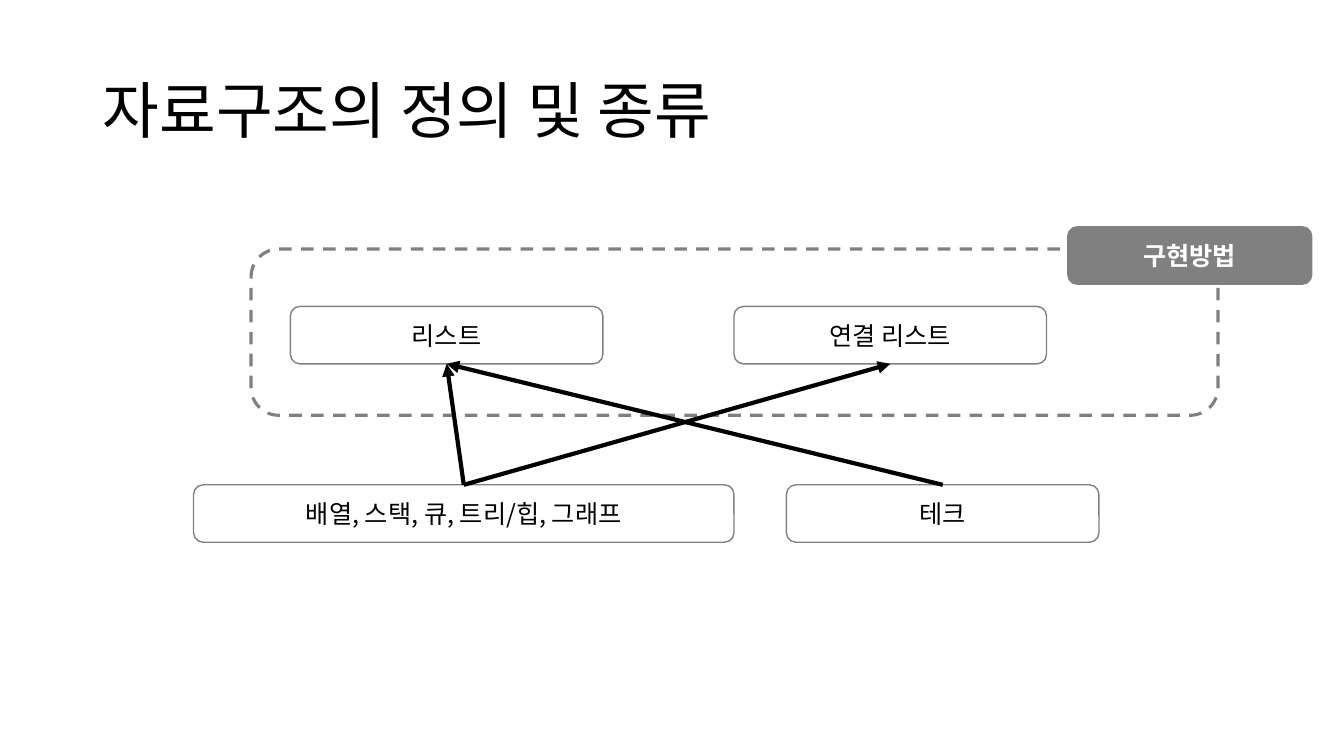
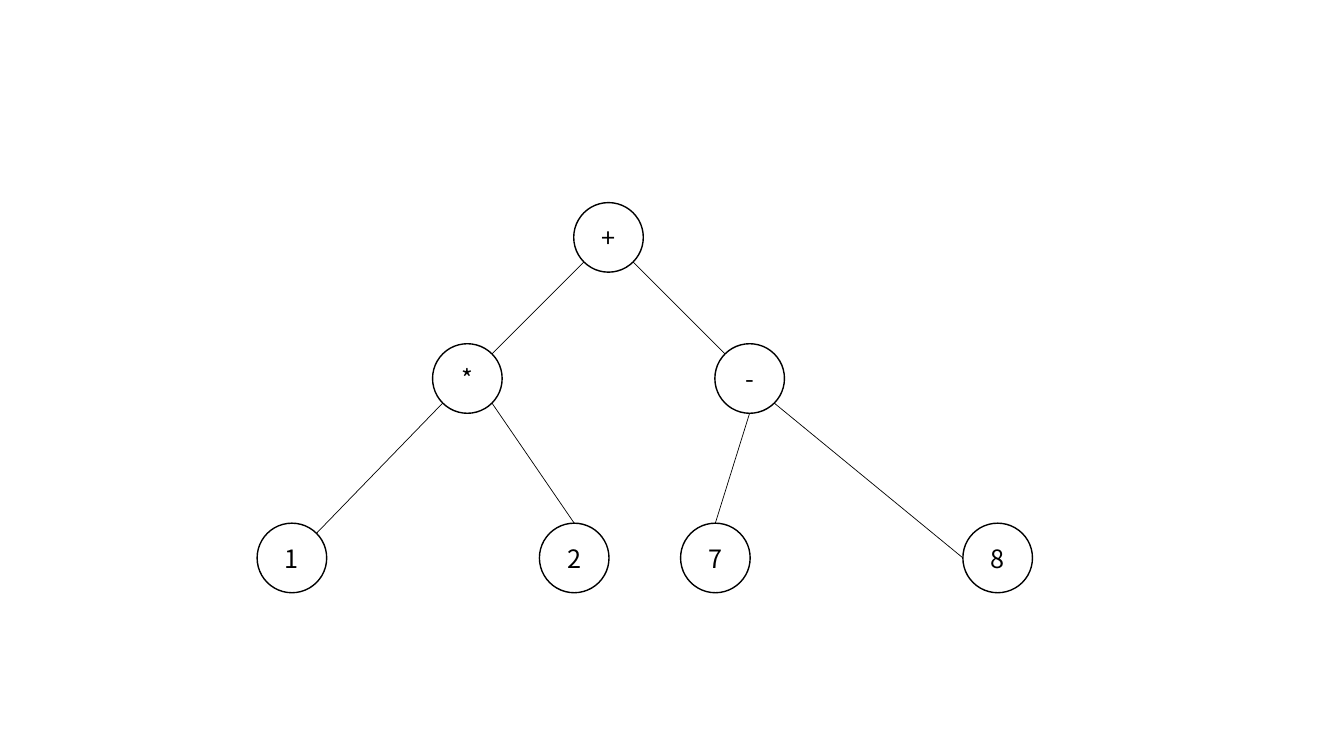
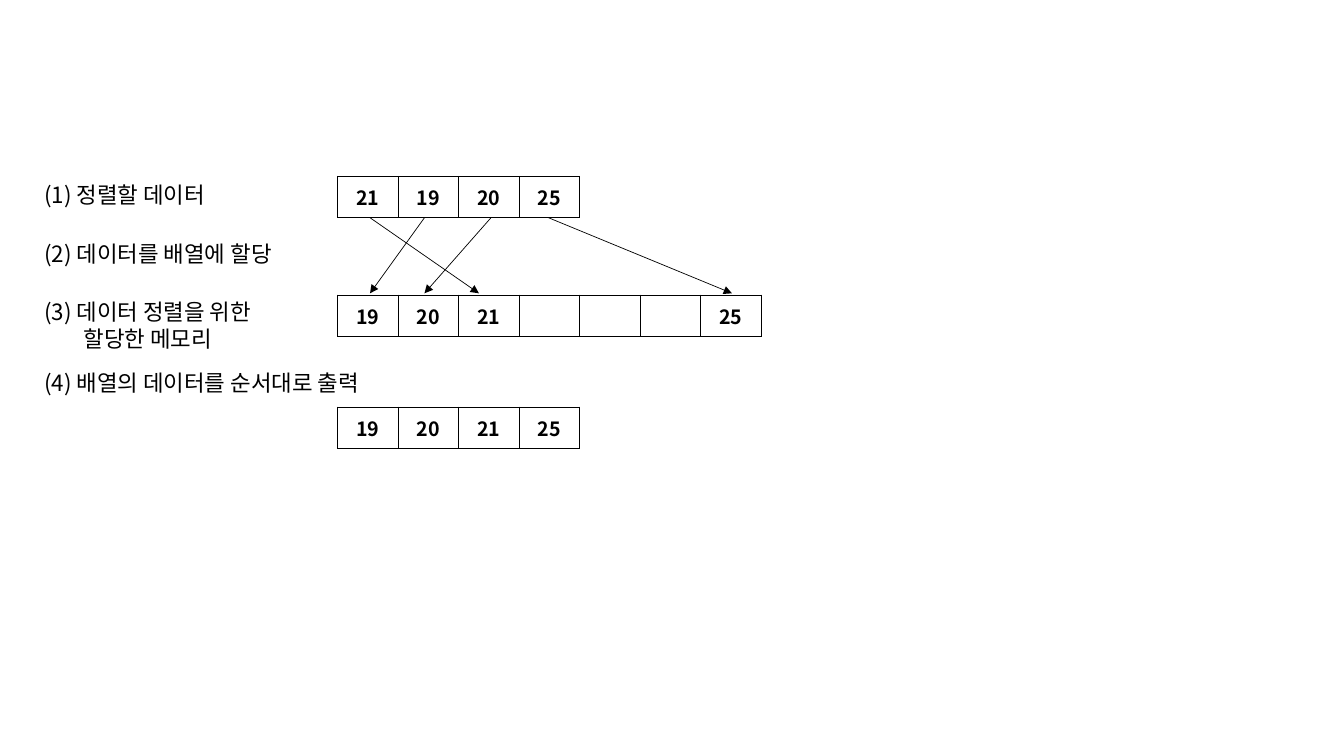
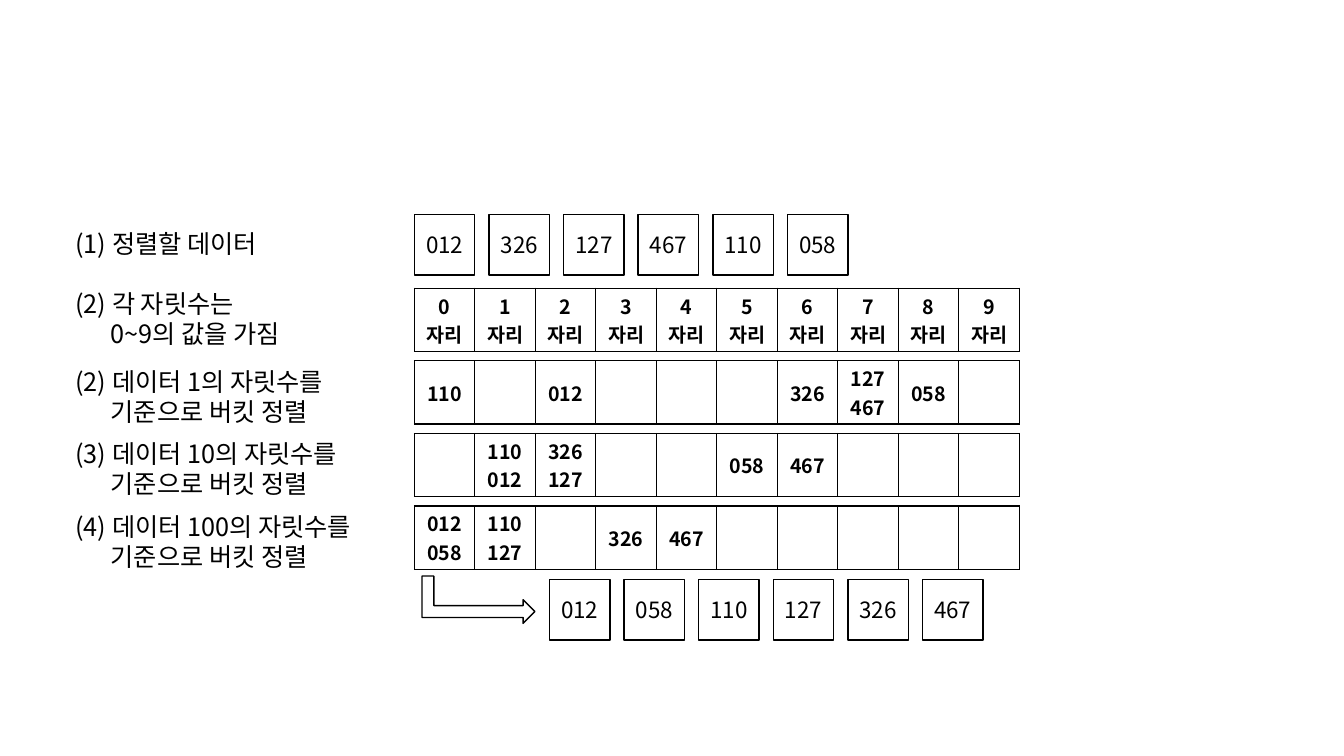
from lxml.etree import SubElement
from pptx import Presentation
from pptx.dml.color import RGBColor
from pptx.enum.dml import MSO_LINE
from pptx.enum.shapes import MSO_CONNECTOR, MSO_SHAPE
from pptx.enum.text import MSO_ANCHOR, PP_ALIGN
from pptx.oxml.ns import qn
from pptx.util import Inches, Pt

COLORS = {"ink": "000000", "paper": "FFFFFF", "gray": "808080"}
FONT = "Noto Sans CJK KR"
TITLE_ONLY, BLANK = 5, 6
TOP, BOTTOM = 0, 2
CELL = 0.6
NODE = 0.69
DIAGONAL = 0.71
CELL_FORMAT = {
    "margin_left": Inches(0.07),
    "margin_right": Inches(0.07),
    "margin_top": Inches(0.03),
    "margin_bottom": Inches(0.03),
    "vertical_anchor": MSO_ANCHOR.MIDDLE,
}


def rgb(name):
    return RGBColor.from_string(COLORS[name])


def apply(target, values):
    for name, value in values.items():
        setattr(target, name, value)


def write(paragraph, text, size, color="ink", bold=False, align=PP_ALIGN.LEFT):
    paragraph.text = text
    paragraph.alignment = align
    for span in paragraph.runs:
        apply(span.font, {"size": Pt(size), "bold": bold, "name": FONT})
        span.font.color.rgb = rgb(color)
        SubElement(span.font._element, qn("a:ea"), typeface=FONT)
    for line_break in paragraph._p.findall(qn("a:br")):
        SubElement(line_break, qn("a:rPr"), sz=str(size * 100))


def add_box(page, kind, place, text="", size=18, fill="paper", line="ink",
            width=1, color="ink", bold=False):
    box = page.shapes.add_shape(kind, *map(Inches, place))
    box.shadow.inherit = False
    if fill:
        box.fill.solid()
        box.fill.fore_color.rgb = rgb(fill)
    else:
        box.fill.background()
    box.line.color.rgb = rgb(line)
    box.line.width = Pt(width)
    if text:
        box.text_frame.vertical_anchor = MSO_ANCHOR.MIDDLE
        write(box.text_frame.paragraphs[0], text, size, color, bold, PP_ALIGN.CENTER)
    return box


def add_line(page, start=(0, 0), end=(0, 0), width=0.5, arrow=False):
    line = page.shapes.add_connector(MSO_CONNECTOR.STRAIGHT, *map(Inches, (*start, *end)))
    line.line.color.rgb = rgb("ink")
    line.line.width = Pt(width)
    if arrow:
        SubElement(line.line._get_or_add_ln(), qn("a:tailEnd"), type="triangle")
    SubElement(line._element.spPr, qn("a:effectLst"))
    return line


def add_label(page, place, text, size, indent=0.0):
    box = page.shapes.add_textbox(*map(Inches, place))
    box.text_frame.word_wrap = True
    paragraph = box.text_frame.paragraphs[0]
    write(paragraph, text, size)
    if indent:
        properties = paragraph._p.get_or_add_pPr()
        properties.set("marL", str(Inches(indent)))
        properties.set("indent", str(-Inches(indent)))


def add_borders(cell):
    properties = cell._tc.get_or_add_tcPr()
    for side in ("a:lnL", "a:lnR", "a:lnT", "a:lnB"):
        border = SubElement(properties, qn(side), w=str(Pt(1)))
        fill = SubElement(border, qn("a:solidFill"))
        SubElement(fill, qn("a:srgbClr"), val=COLORS["ink"])


def add_array(page, left, top, height, values):
    place = map(Inches, (left, top, CELL * len(values), height))
    table = page.shapes.add_table(1, len(values), *place).table
    apply(table, {"first_row": False, "horz_banding": False})
    for cell, value in zip(table.iter_cells(), values):
        apply(cell, CELL_FORMAT)
        add_borders(cell)
        cell.fill.solid()
        cell.fill.fore_color.rgb = rgb("paper")
        if value:
            write(cell.text_frame.paragraphs[0], value, 14, bold=True, align=PP_ALIGN.CENTER)


def add_squares(page, left, top, values):
    for index, value in enumerate(values):
        add_box(page, MSO_SHAPE.RECTANGLE, (left + 0.74 * index, top, CELL, CELL), value, 16)


def add_title(page, text):
    title = page.shapes.title
    places = map(Inches, (0.92, 0.4, 11.5, 1.45))
    apply(title, dict(zip(("left", "top", "width", "height"), places)))
    title.text_frame.vertical_anchor = MSO_ANCHOR.MIDDLE
    paragraph = title.text_frame.paragraphs[0]
    write(paragraph, text, 44)
    paragraph.line_spacing = 0.9


def build_overview(page):
    add_title(page, "자료구조의 정의 및 종류")
    rounded = MSO_SHAPE.ROUNDED_RECTANGLE
    array_list, linked_list, structures, deque = [
        add_box(page, rounded, (left, top, width, 0.57), text, line="gray")
        for left, top, width, text in (
            (2.88, 3.04, 3.1, "리스트"),
            (7.28, 3.04, 3.1, "연결 리스트"),
            (1.92, 4.81, 5.36, "배열, 스택, 큐, 트리/힙, 그래프"),
            (7.8, 4.81, 3.1, "테크"),
        )
    ]
    frame = add_box(page, rounded, (2.49, 2.47, 9.59, 1.65), fill=None, line="gray", width=2.25)
    frame.line.dash_style = MSO_LINE.DASH
    add_box(page, rounded, (10.59, 2.25, 2.42, 0.57), "구현방법",
            fill="gray", line="gray", color="paper", bold=True)
    for source, target in ((structures, linked_list), (structures, array_list), (deque, array_list)):
        arrow = add_line(page, width=3, arrow=True)
        arrow.begin_connect(source, TOP)
        arrow.end_connect(target, BOTTOM)


def build_expression_tree(page):
    nodes = {
        "+": (5.69, 2.01), "*": (4.29, 3.41), "-": (7.09, 3.41),
        "1": (2.55, 5.19), "2": (5.35, 5.19), "7": (6.75, 5.19), "8": (9.55, 5.19),
    }
    for text, place in nodes.items():
        add_box(page, MSO_SHAPE.OVAL, (*place, NODE, NODE), text)

    def rim(text, direction):
        return [start + NODE / 2 * (1 + step) for start, step in zip(nodes[text], direction)]

    up, down, left = (0, -1), (0, 1), (-1, 0)
    up_left, up_right = (-DIAGONAL, -DIAGONAL), (DIAGONAL, -DIAGONAL)
    down_left, down_right = (-DIAGONAL, DIAGONAL), (DIAGONAL, DIAGONAL)
    for parent, leaving, child, entering in (
        ("+", down_left, "*", up_right),
        ("+", down_right, "-", up_left),
        ("-", down_right, "8", left),
        ("-", down, "7", up),
        ("*", down_right, "2", up),
        ("*", down_left, "1", up_right),
    ):
        add_line(page, rim(parent, leaving), rim(child, entering))


def build_counting_sort(page):
    for top, values in (
        (1.75, ("21", "19", "20", "25")),
        (2.93, ("19", "20", "21", "", "", "", "25")),
        (4.04, ("19", "20", "21", "25")),
    ):
        add_array(page, 3.35, top, 0.41, values)
    for start, end in ((3.67, 4.75), (4.21, 3.67), (5.44, 7.26), (4.87, 4.21)):
        add_line(page, (start, 2.16), (end, 2.91), arrow=True)
    for top, width, height, indent, text in (
        (1.75, 2.9, 0.37, 0, "(1) 정렬할 데이터"),
        (2.33, 2.9, 0.37, 0, "(2) 데이터를 배열에 할당"),
        (2.91, 2.9, 0.64, 0.39, "(3) 데이터 정렬을 위한\n할당한 메모리"),
        (3.61, 4.54, 0.37, 0.39, "(4) 배열의 데이터를 순서대로 출력"),
    ):
        add_label(page, (0.34, top, width, height), text, 16, indent)


def build_radix_sort(page):
    buckets = (
        {digit: f"{digit}\n자리" for digit in range(10)},
        {0: "110", 2: "012", 6: "326", 7: "127\n467", 8: "058"},
        {1: "110\n012", 2: "326\n127", 5: "058", 6: "467"},
        {0: "012\n058", 1: "110\n127", 3: "326", 4: "467"},
    )
    for index, row in enumerate(buckets):
        values = [row.get(digit, "") for digit in range(10)]
        add_array(page, 4.11, 2.86 + 0.72 * index, CELL, values)
    add_squares(page, 4.11, 2.13, ("012", "326", "127", "467", "110", "058"))
    add_squares(page, 5.45, 5.75, ("012", "058", "110", "127", "326", "467"))
    arrow = add_box(page, MSO_SHAPE.BENT_UP_ARROW, (4.51, 5.39, 0.47, 1.12))
    arrow.rotation = 90
    for top, height, indent, text in (
        (2.22, 0.4, 0, "(1) 정렬할 데이터"),
        (2.81, 0.71, 0.35, "(2) 각 자릿수는\n0~9의 값을 가짐"),
        (3.58, 0.71, 0.35, "(2) 데이터 1의 자릿수를\n기준으로 버킷 정렬"),
        (4.3, 0.71, 0.35, "(3) 데이터 10의 자릿수를\n기준으로 버킷 정렬"),
        (5.02, 0.71, 0.35, "(4) 데이터 100의 자릿수를\n기준으로 버킷 정렬"),
    ):
        add_label(page, (0.65, top, 3.4, height), text, 18, indent)


def main():
    deck = Presentation()
    apply(deck, {"slide_width": Inches(13.33), "slide_height": Inches(7.5)})
    for layout, build in (
        (TITLE_ONLY, build_overview),
        (BLANK, build_expression_tree),
        (BLANK, build_counting_sort),
        (BLANK, build_radix_sort),
    ):
        build(deck.slides.add_slide(deck.slide_layouts[layout]))
    deck.save("out.pptx")


if __name__ == "__main__":
    main()
